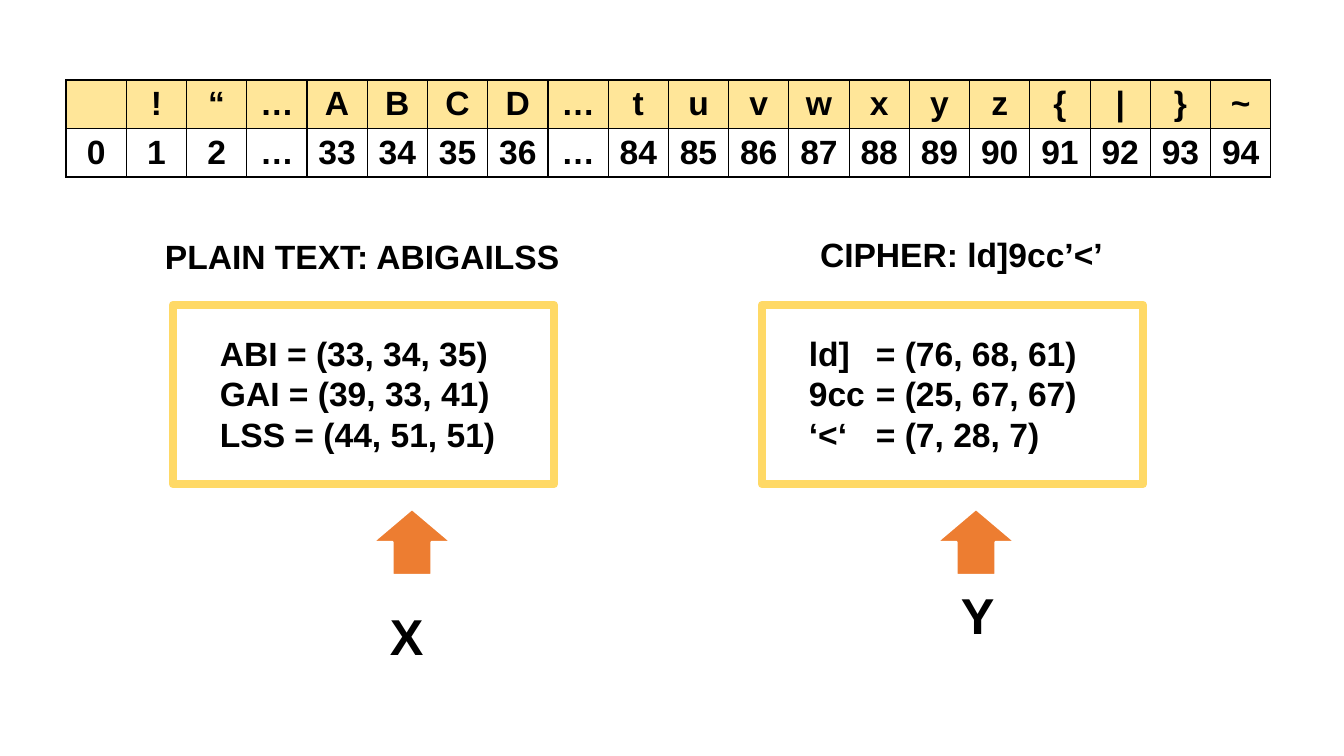
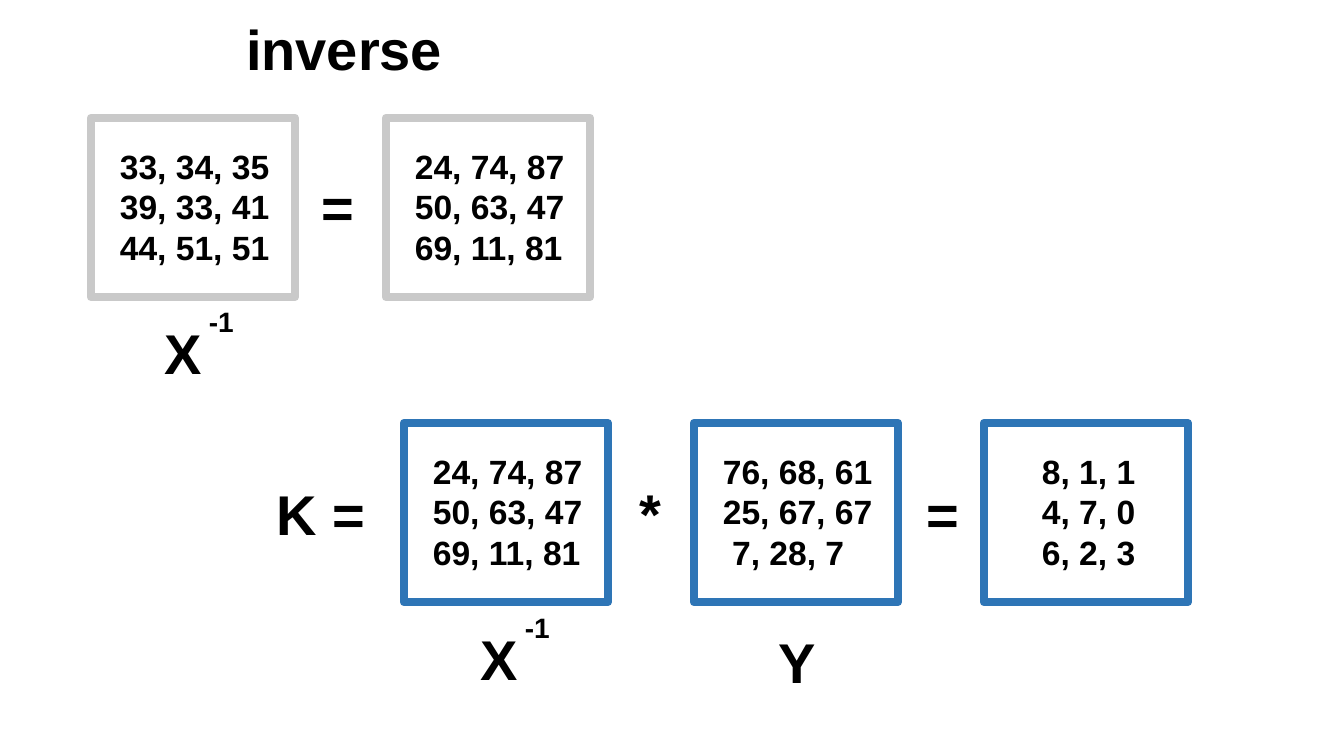
import pptx
import pptx.util
import pptx.dml.color
import pptx.enum.shapes
import pptx.enum.text
import pptx.oxml
import pptx.oxml.ns

RGB = pptx.dml.color.RGBColor
BLACK = RGB(0x00, 0x00, 0x00)
WHITE = RGB(0xFF, 0xFF, 0xFF)
CREAM = RGB(0xFF, 0xE6, 0x99)
GOLD = RGB(0xFF, 0xD9, 0x66)
ORANGE = RGB(0xED, 0x7D, 0x31)
GREY = RGB(0xC9, 0xC9, 0xC9)
BLUE = RGB(0x2E, 0x75, 0xB6)

FONT = "Arial"
SCALE = 914400 / 100.8
BOX_H = 179
MID = 24
BIG = 40
LEFT = pptx.enum.text.PP_ALIGN.LEFT
CENTER = pptx.enum.text.PP_ALIGN.CENTER
KIND = pptx.enum.shapes.MSO_SHAPE

CODES = [
    ["", "!", "“", "…", "A", "B", "C", "D", "…", "t", "u", "v", "w", "x", "y", "z",
     "{", "|", "}", "~"],
    ["0", "1", "2", "…", "33", "34", "35", "36", "…", "84", "85", "86", "87", "88",
     "89", "90", "91", "92", "93", "94"],
]
CODE_AREA = (66, 80, 1205, 97)

HEADS = [
    ("PLAIN TEXT: ABIGAILSS", (155, 231, 487, 50), LEFT),
    ("CIPHER: ld]9cc’<’", (762, 229, 399, 50), CENTER),
]
GROUPS = [
    (173, "ABI = (33, 34, 35)\nGAI = (39, 33, 41)\nLSS = (44, 51, 51)"),
    (762, "ld]\t= (76, 68, 61)\n9cc\t= (25, 67, 67)\n‘<‘\t= (7, 28, 7)"),
]
GROUP_TOP, GROUP_W, GROUP_PAD, TAB = 305, 381, 37, 67
ARROWS = [373, 937]
NAMES = [("X", (380, 600, 64, 72)), ("Y", (951, 579, 64, 72))]

TITLE = ("inverse", (236, 9, 385, 78))
PLAIN = "33, 34, 35\n39, 33, 41\n44, 51, 51"
INVERSE = "24, 74, 87\n50, 63, 47\n69, 11, 81"
CIPHER = "76, 68, 61\n25, 67, 67\n 7, 28, 7"
KEY = "8, 1, 1\n4, 7, 0\n6, 2, 3"
MATRIX_W = 204
ROWS = [
    (91, 118, 295, GREY, [(PLAIN, 19), (INVERSE, 19)]),
    (404, 423, 290, BLUE, [(INVERSE, 19), (CIPHER, 19), (KEY, 48)]),
]
SIGNS = [
    ("=", (312, 168, 67, 78)),
    ("K =", (267, 475, 135, 78)),
    ("*", (630, 474, 59, 78)),
    ("=", (917, 475, 67, 78)),
    ("Y", (769, 623, 99, 78)),
]
POWERS = [(155, 314), (471, 620)]


def px(n):
    return pptx.util.Emu(round(n * SCALE))


def place(area):
    return [px(n) for n in area]


def style(frame, size, align=LEFT):
    for para in frame.paragraphs:
        para.alignment = align
        for run in para.runs:
            run.font.name = FONT
            run.font.size = pptx.util.Pt(size)
            run.font.bold = True
            run.font.color.rgb = BLACK


def add_text(slide, text, area, size=MID, align=LEFT):
    frame = slide.shapes.add_textbox(*place(area)).text_frame
    frame.word_wrap = True
    frame.text = text
    style(frame, size, align)
    return frame


def add_form(slide, kind, area, fill, line, width):
    form = slide.shapes.add_shape(kind, *place(area))
    form.shadow.inherit = False
    form.fill.solid()
    form.fill.fore_color.rgb = fill
    form.line.color.rgb = line
    form.line.width = pptx.util.Pt(width)


def add_panel(slide, left, top, width, color, text, pad):
    add_form(slide, KIND.RECTANGLE, (left, top, width, BOX_H), WHITE, color, 6)
    return add_text(slide, text, (left + pad, top + 23, width - pad, 132))


def set_tab(frame, stop):
    for para in frame.paragraphs:
        tabs = pptx.oxml.parse_xml(
            f'<a:tabLst {pptx.oxml.ns.nsdecls("a")}>'
            f'<a:tab pos="{px(stop)}" algn="l"/></a:tabLst>')
        para._p.get_or_add_pPr().append(tabs)


def set_edges(cell):
    props = cell._tc.get_or_add_tcPr()
    for spot, side in enumerate(("lnL", "lnR", "lnT", "lnB")):
        props.insert(spot, pptx.oxml.parse_xml(
            f'<a:{side} {pptx.oxml.ns.nsdecls("a")} w="12700"><a:solidFill>'
            f'<a:srgbClr val="{BLACK}"/></a:solidFill></a:{side}>'))


def add_codes(slide):
    count = len(CODES[0])
    table = slide.shapes.add_table(len(CODES), count, *place(CODE_AREA)).table
    table.first_row = table.horz_banding = False
    for col in table.columns:
        col.width = px(CODE_AREA[2] / count)
    for row, texts, fill in zip(table.rows, CODES, (CREAM, WHITE)):
        row.height = px(CODE_AREA[3] / len(CODES))
        for cell, text in zip(row.cells, texts):
            cell.text = text
            cell.vertical_anchor = pptx.enum.text.MSO_ANCHOR.MIDDLE
            cell.fill.solid()
            cell.fill.fore_color.rgb = fill
            style(cell.text_frame, MID, CENTER)
            set_edges(cell)


def build_text(slide):
    add_codes(slide)
    for text, area, align in HEADS:
        add_text(slide, text, area, MID, align)
    for left, text in GROUPS:
        frame = add_panel(slide, left, GROUP_TOP, GROUP_W, GOLD, text, GROUP_PAD)
        if "\t" in text:
            set_tab(frame, TAB)
    for left in ARROWS:
        add_form(slide, KIND.UP_ARROW, (left, 509, 78, 66), ORANGE, WHITE, 1.5)
    for text, area in NAMES:
        add_text(slide, text, area, 36)


def build_key(slide):
    text, area = TITLE
    title = slide.shapes.title
    title.left, title.top, title.width, title.height = place(area)
    title.text_frame.text = text
    title.text_frame.vertical_anchor = pptx.enum.text.MSO_ANCHOR.TOP
    style(title.text_frame, BIG)
    for left, top, step, color, cells in ROWS:
        for spot, (text, pad) in enumerate(cells):
            add_panel(slide, left + spot * step, top, MATRIX_W, color, text, pad)
    for text, area in SIGNS:
        add_text(slide, text, area, BIG)
    for left, top in POWERS:
        add_text(slide, "X", (left, top, 99, 78), BIG)
        add_text(slide, "-1", (left + 44, top - 14, 99, 44), 20)


deck = pptx.Presentation()
deck.slide_width, deck.slide_height = px(1344), px(756)
build_text(deck.slides.add_slide(deck.slide_layouts.get_by_name("Blank")))
build_key(deck.slides.add_slide(deck.slide_layouts.get_by_name("Title Only")))
deck.save("out.pptx")
